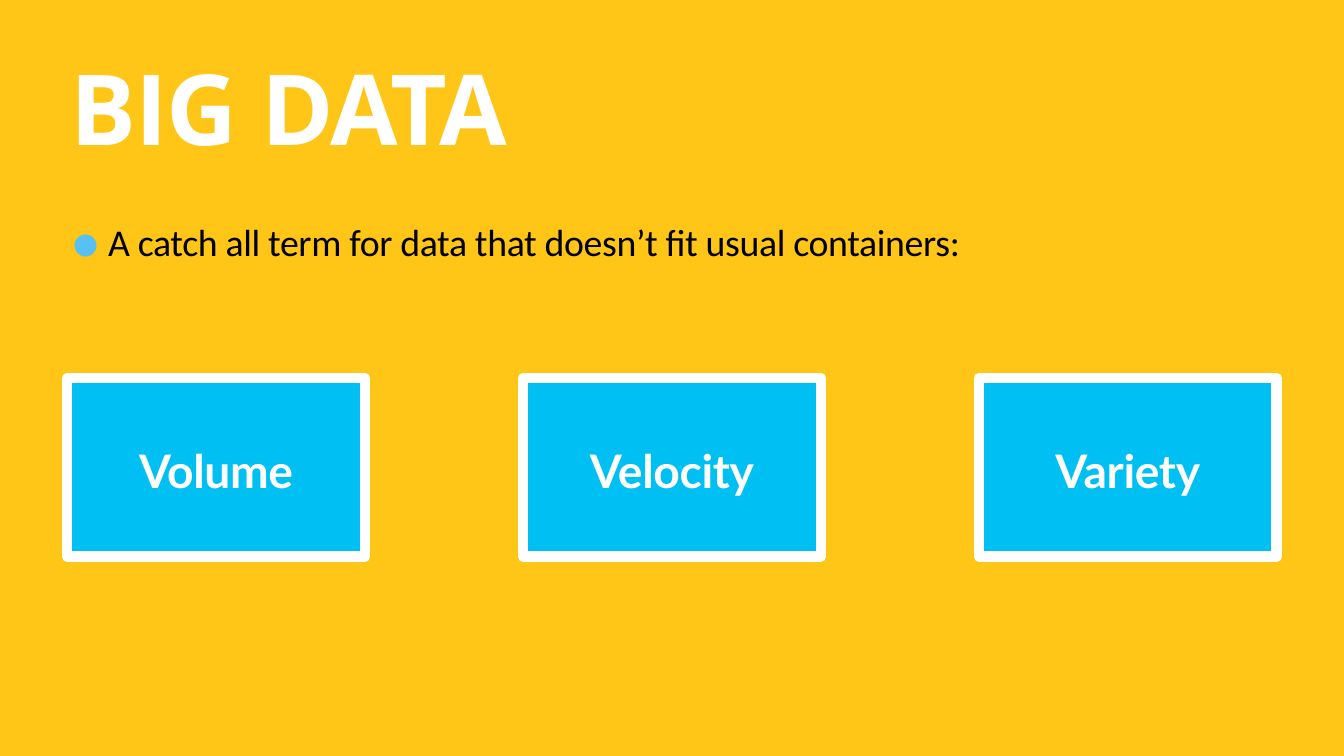
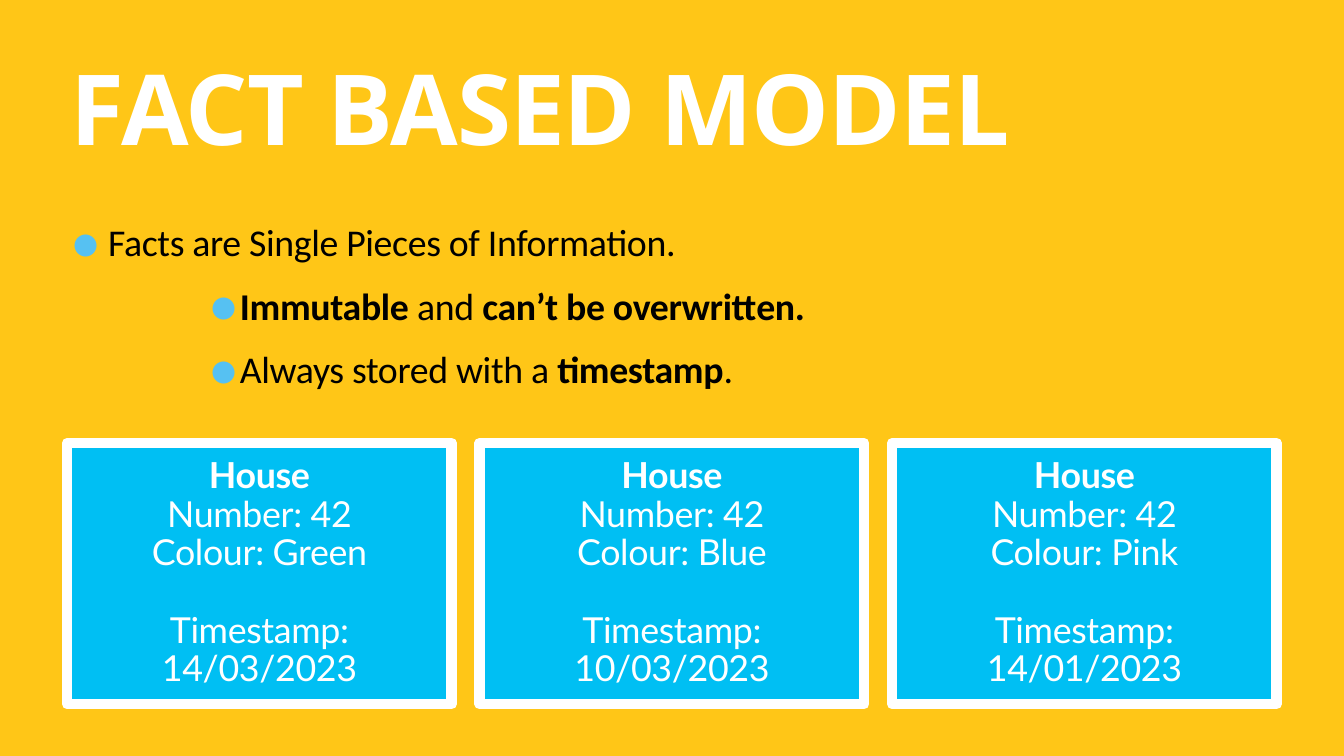
import pptx
import pptx.util
import pptx.dml.color
import pptx.enum.shapes
import pptx.enum.text
import pptx.oxml.ns
import lxml.etree

Cm = pptx.util.Cm
Pt = pptx.util.Pt
qn = pptx.oxml.ns.qn
Align = pptx.enum.text.PP_ALIGN
Anchor = pptx.enum.text.MSO_ANCHOR

GOLD, BLUE, SKY = "FFC617", "00BFF3", "56C1F2"
WHITE, BLACK = "FFFFFF", "000000"
LEFT, WIDE = 3.39, 60.96
HANG = 1.91


def color(code):
    """Turn a hex string into a colour."""
    return pptx.dml.color.RGBColor.from_string(code)


def child(node, tag, **attrs):
    """Append a drawing element with its attributes."""
    return lxml.etree.SubElement(node, qn("a:" + tag), attrs)


def write(frame, text, size=54, font="Calibri", ink=BLACK, bold=False,
          track=-50, lines=1.0, align=Align.LEFT, before=0):
    """Add a paragraph in which asterisks switch bold."""
    para = frame.paragraphs[0]
    if para.runs:
        para = frame.add_paragraph()
    para.alignment = align
    para.line_spacing = lines
    para.space_before = Pt(before)
    for i, part in enumerate(text.split("*")):
        if part:
            run = para.add_run()
            run.text = part
            run.font.size = Pt(size)
            run.font.name = font
            run.font.bold = bold or i % 2 == 1
            run.font.color.rgb = color(ink)
            run.font._element.set("spc", str(track))
    return para


def setup(frame, inset, anchor):
    """Set wrapping, margins and anchor of a text frame."""
    frame.word_wrap = True
    frame.vertical_anchor = anchor
    frame.margin_left = frame.margin_right = Cm(inset)
    frame.margin_top = frame.margin_bottom = Cm(inset)
    return frame


def panel(slide, box):
    """Add an empty text box and return its frame."""
    shape = slide.shapes.add_textbox(*map(Cm, box))
    return setup(shape.text_frame, 0.15, Anchor.TOP)


def dot(para, level):
    """Give a paragraph its round bullet and indent."""
    para.level = level
    props = para._p.get_or_add_pPr()
    props.set("marL", str(Cm(HANG)))
    props.set("indent", str(Cm(5.08 if level else -HANG)))
    child(child(props, "buClr"), "srgbClr", val=SKY)
    child(props, "buSzPct", val="165000")
    child(props, "buFont", typeface="Calibri")
    child(props, "buChar", char="•")


def points(slide, box, items):
    """Write the bulleted list of level and text pairs."""
    frame = panel(slide, box)
    for level, text in items:
        dot(write(frame, text, lines=1.4), level)


def card(slide, box):
    """Draw a blue card with a white border and return its frame."""
    kind = pptx.enum.shapes.MSO_SHAPE.RECTANGLE
    shape = slide.shapes.add_shape(kind, *map(Cm, box))
    shape.shadow.inherit = False
    shape.fill.solid()
    shape.fill.fore_color.rgb = color(BLUE)
    shape.line.color.rgb = color(WHITE)
    shape.line.width = Pt(15)
    child(shape.element.spPr.find(qn("a:ln")), "round")
    return setup(shape.text_frame, 0.51, Anchor.MIDDLE)


def spread(slide, box, width, items, fill):
    """Space cards evenly across a box and fill each one."""
    left, top, wide, high = box
    step = (wide - width) / (len(items) - 1)
    for i, item in enumerate(items):
        fill(card(slide, (left + i * step, top, width, high)), item)


def label(frame, text):
    """Write the single word of a card."""
    write(frame, text, size=66, font="Lato", ink=WHITE, bold=True,
          lines=1.1, align=Align.CENTER)


def fact(frame, item):
    """Write a house record with its timestamp."""
    hue, date = item
    rows = ["*House*", "Number: 42", "Colour: " + hue, "Timestamp:", date]
    for row in rows:
        write(frame, row, size=51.1, font="Lato", ink=WHITE, lines=0.9,
              align=Align.CENTER, before=55 if row == "Timestamp:" else 0)


def page(deck, title):
    """Add a gold slide with its title."""
    slide = deck.slides.add_slide(deck.slide_layouts[6])
    slide.background.fill.solid()
    slide.background.fill.fore_color.rgb = color(GOLD)
    write(panel(slide, (LEFT, LEFT, WIDE, 6.38)), title, size=140,
          font="Open Sans", ink=WHITE, bold=True, track=-140, lines=0.8)
    return slide


def data(deck):
    """Build the slide on the three traits of big data."""
    slide = page(deck, "BIG DATA")
    points(slide, (LEFT, 9.98, WIDE, 9.96), [
        (0, "A catch all term for data that doesn’t fit usual containers:")])
    spread(slide, (LEFT, 19.05, WIDE, 8.99), 15.01,
           ["Volume", "Velocity", "Variety"], label)


def model(deck):
    """Build the slide on the fact based model."""
    slide = page(deck, "FACT BASED MODEL")
    points(slide, (LEFT, 9.98, WIDE, 12.34), [
        (0, "Facts are Single Pieces of Information."),
        (4, "*Immutable *and* can’t be overwritten.*"),
        (4, "Always stored with a *timestamp*.")])
    spread(slide, (LEFT, 22.33, WIDE, 13.16), 19.38,
           [("Green", "14/03/2023"), ("Blue", "10/03/2023"),
            ("Pink", "14/01/2023")], fact)


def main():
    """Build and save the deck."""
    deck = pptx.Presentation()
    deck.slide_width, deck.slide_height = Cm(67.74), Cm(38.1)
    data(deck)
    model(deck)
    deck.save("out.pptx")


if __name__ == "__main__":
    main()
